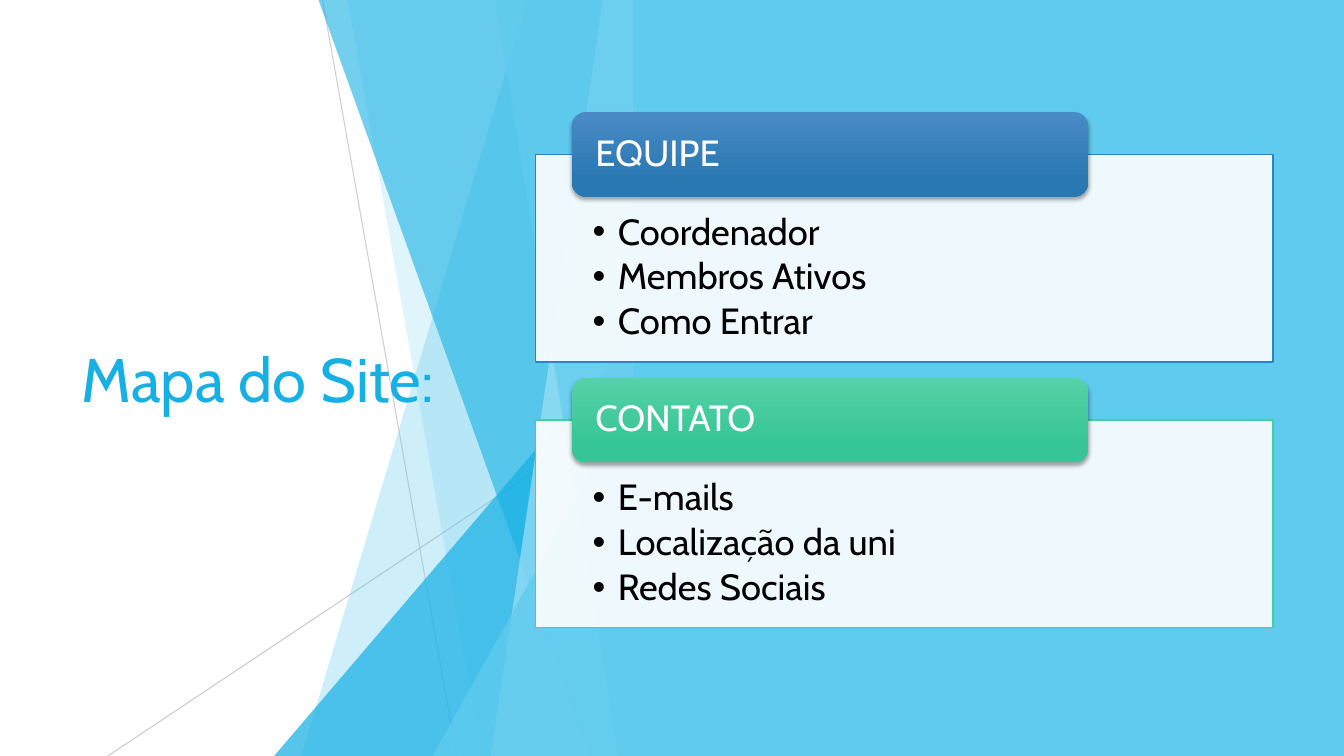
from lxml.etree import SubElement
from pptx import Presentation
from pptx.dml.color import RGBColor
from pptx.enum.shapes import MSO_CONNECTOR, MSO_SHAPE as SHAPE
from pptx.enum.text import MSO_ANCHOR as ANCHOR, MSO_AUTO_SIZE, PP_ALIGN
from pptx.oxml.ns import qn
from pptx.util import Pt

FONT = "Cabin"
SKY, CYAN, PALE, GREY, WHITE, BLACK = "5FCBEF", "17B0E4", "9FE0F5", "BFBFBF", "FFFFFF", "000000"
TITLE = "Mapa do Site:"
CARDS = [
    {"head": "EQUIPE", "items": ["Coordenador", "Membros Ativos", "Como Entrar"],
     "line": "2E83C3", "grad": ["4A8BC6", "2A78B2"]},
    {"head": "CONTATO", "items": ["E-mails", "Localização da uni", "Redes Sociais"],
     "line": "42D0A2", "grad": ["56D2A7", "36C596"]},
]
WIDTH, HEIGHT, EDGE = 960, 540, 452.2
RAYS = [(230.4, 0, 326.2, HEIGHT, 75), (EDGE, 290.2, 77, HEIGHT, 80)]
FACETS = [
    ("stripe", 376.6, 215.3, SKY, 30),
    ("stripe", 248.4, 344.2, SKY, 20),
    ("triangle", 195.8, 239.8, CYAN, 72),
    ("stripe", 227.5, 421.9, CYAN, 60),
    ("stripe", 430.6, 350.6, PALE, 70),
    ("stripe", 353.5, 441.4, SKY, 65),
    ("triangle", 308.9, 283, SKY, 80),
]
CARD_X, CARD_Y, CARD_W, CARD_H, CARD_STEP = 382.3, 110.2, 527, 148.3, 189.8
HEAD_X, HEAD_W, HEAD_H = 408.6, 368.6, 60.5
HEAD_RISE = 30.2


def rgb(value):
    return RGBColor.from_string(value)


def paint(shape, fill, color, alpha=100):
    fill.solid()
    fill.fore_color.rgb = rgb(color)
    if alpha < 100:
        clr = list(shape._element.spPr.iter(qn("a:srgbClr")))[-1]
        SubElement(clr, qn("a:alpha"), val=str(alpha * 1000))


def add_block(s, kind, x, y, w, h):
    sp = s.shapes.add_shape(kind, Pt(x), Pt(y), Pt(w), Pt(h))
    sp.shadow.inherit = False
    sp.line.fill.background()
    return sp


def add_ray(s, x1, y1, x2, y2, alpha):
    ray = s.shapes.add_connector(MSO_CONNECTOR.STRAIGHT, Pt(x1), Pt(y1), Pt(x2), Pt(y2))
    SubElement(ray._element.spPr, qn("a:effectLst"))
    ray.line.width = Pt(0.75)
    paint(ray, ray.line.fill, GREY, alpha)


def add_facet(s, kind, a, b, color, alpha):
    if kind == "triangle":
        sp = add_block(s, SHAPE.ISOSCELES_TRIANGLE, a, b, EDGE - a, HEIGHT - b)
        sp.adjustments[0] = 1
    else:
        fb = s.shapes.build_freeform(Pt(a), 0)
        fb.add_line_segments([(Pt(x), Pt(y)) for x, y in [(EDGE, 0), (EDGE, HEIGHT), (b, HEIGHT)]])
        sp = fb.convert_to_shape()
        sp.shadow.inherit = False
        sp.line.fill.background()
    paint(sp, sp.fill, color, alpha)


def write(sp, lines, size, color, anchor, margins, para=None):
    tf = sp.text_frame
    left, top, right, bottom = map(Pt, margins)
    frame = {"word_wrap": True, "auto_size": MSO_AUTO_SIZE.NONE, "vertical_anchor": anchor,
             "margin_left": left, "margin_top": top, "margin_right": right, "margin_bottom": bottom}
    for name, value in frame.items():
        setattr(tf, name, value)
    for i, line in enumerate(lines):
        p = tf.add_paragraph() if i else tf.paragraphs[0]
        for name, value in {"alignment": PP_ALIGN.LEFT, "line_spacing": 0.9, **(para or {})}.items():
            setattr(p, name, value)
        r = p.add_run()
        r.text = line
        for name, value in {"name": FONT, "size": Pt(size), "bold": False}.items():
            setattr(r.font, name, value)
        r.font.color.rgb = rgb(color)
    return tf


def add_bullet(p):
    pPr = p._p.get_or_add_pPr()
    pPr.set("marL", str(Pt(18)))
    pPr.set("indent", str(-Pt(18)))
    SubElement(pPr, qn("a:buFont"), typeface="Arial")
    SubElement(pPr, qn("a:buChar"), char="•")


def add_shadow(sp):
    effects = sp._element.spPr.find(qn("a:effectLst"))
    shadow = SubElement(effects, qn("a:outerShdw"), blurRad=str(Pt(3)), dist=str(Pt(2)),
                        dir="5400000", rotWithShape="0")
    clr = SubElement(shadow, qn("a:srgbClr"), val=BLACK)
    SubElement(clr, qn("a:alpha"), val="35000")


def add_card(s, y, card):
    body = add_block(s, SHAPE.RECTANGLE, CARD_X, y, CARD_W, CARD_H)
    paint(body, body.fill, WHITE, 90)
    paint(body, body.line.fill, card["line"])
    body.line.width = Pt(1)
    tf = write(body, card["items"], 26, BLACK, ANCHOR.TOP, (41, 42.5, 41, 14.4), {"space_after": Pt(3.9)})
    for p in tf.paragraphs:
        add_bullet(p)

    head = add_block(s, SHAPE.ROUNDED_RECTANGLE, HEAD_X, y - HEAD_RISE, HEAD_W, HEAD_H)
    head.fill.gradient()
    head.fill.gradient_angle = 270
    for stop, position, color in zip(head.fill.gradient_stops, (0, 0.78), card["grad"]):
        stop.position = position
        stop.color.rgb = rgb(color)
    add_shadow(head)
    write(head, [card["head"]], 26, WHITE, ANCHOR.MIDDLE, (13.7, 0, 13.7, 0))


def main():
    prs = Presentation()
    prs.slide_width, prs.slide_height = Pt(WIDTH), Pt(HEIGHT)
    s = prs.slides.add_slide(prs.slide_layouts[5])
    for ray in RAYS:
        add_ray(s, *ray)
    for facet in FACETS:
        add_facet(s, *facet)

    title = s.shapes.title
    box = {"left": 51, "top": 108.7, "width": 279.5, "height": 322.5}
    for name, value in box.items():
        setattr(title, name, Pt(value))
    write(title, [TITLE], 44, CYAN, ANCHOR.MIDDLE, (7.2, 3.6, 7.2, 3.6), {"line_spacing": 1.0})
    s.shapes[-1]._element.addnext(title._element)

    panel = add_block(s, SHAPE.RECTANGLE, EDGE, 0, WIDTH - EDGE, HEIGHT)
    paint(panel, panel.fill, SKY)
    for i, card in enumerate(CARDS):
        add_card(s, CARD_Y + i * CARD_STEP, card)
    prs.save("out.pptx")


if __name__ == "__main__":
    main()
